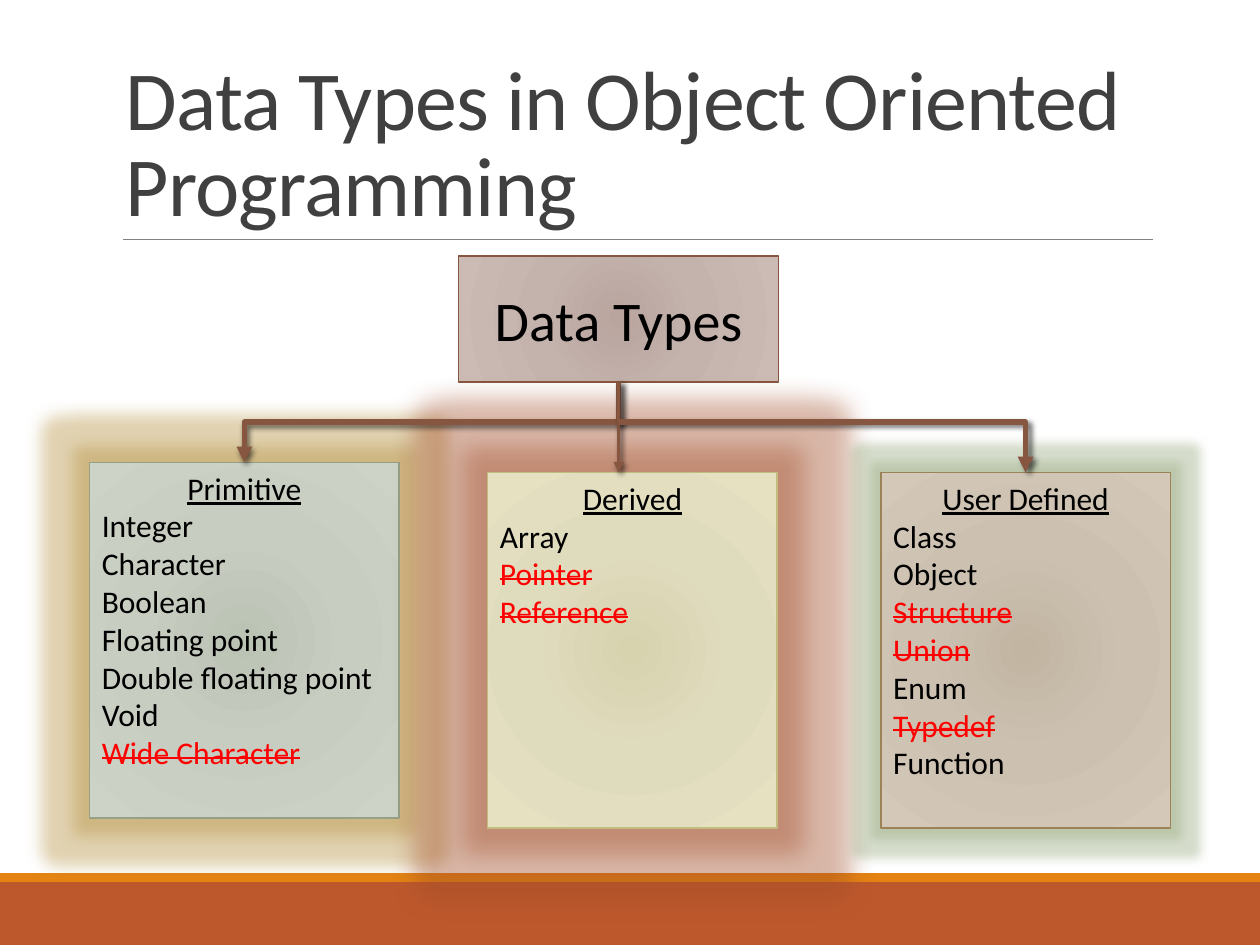
from pptx import Presentation
from pptx.dml.color import RGBColor
from pptx.enum.shapes import MSO_CONNECTOR as Link, MSO_SHAPE as Shape
from pptx.enum.text import MSO_ANCHOR as Anchor, PP_ALIGN as Align
from pptx.oxml import parse_xml
from pptx.oxml.ns import nsdecls, qn
from pptx.util import Inches, Pt

FONT = "Calibri"
COLORS = {
    "band": "BD582C", "stripe": "E48312", "rule": "808080", "title": "404040",
    "text": "000000", "removed": "FF0000", "brown": "865640",
}
CARDS = [
    {"at": (0.71, 3.67, 2.46, 2.82), "heading": "Primitive",
     "items": ["Integer", "Character", "Boolean", "Floating point",
               "Double floating point", "Void", "Wide Character"],
     "stops": ("BBC3B5", "C7CDC1", "CDD4C7"), "border": "94A088", "glow": ("B48F3D", 18)},
    {"at": (3.87, 3.75, 2.3, 2.82), "heading": "Derived",
     "items": ["Array", "Pointer", "Reference"],
     "stops": ("D7D3AF", "DFDBBD", "E5E1C1"), "border": "C2BC80", "glow": ("A04B26", 28)},
    {"at": (6.99, 3.75, 2.3, 2.82), "heading": "User Defined",
     "items": ["Class", "Object", "Structure", "Union", "Enum", "Typedef", "Function"],
     "stops": ("C2B5A2", "CCC1B1", "D4C8B8"), "border": "9B8357", "glow": ("97A97E", 11)},
]
REMOVED = {"Wide Character", "Pointer", "Reference", "Structure", "Union", "Typedef"}


def rgb(value):
    return RGBColor.from_string(value)


def xml(tag, body):
    return parse_xml(f"<a:{tag} {nsdecls('a')}{body}")


def style_text(paragraph, size, color):
    font = paragraph.runs[0].font
    font.name, font.size = FONT, Pt(size)
    font.color.rgb = rgb(color)
    return font


def add_box(slide, at, fill, border=None):
    box = slide.shapes.add_shape(Shape.RECTANGLE, *map(Inches, at))
    box.shadow.inherit = False
    box.fill.solid()
    box.fill.fore_color.rgb = rgb(fill)
    if border:
        box.line.color.rgb = rgb(border)
        box.line.width = Pt(1)
    else:
        box.line.fill.background()
    return box


def add_gradient_box(slide, at, stops, border):
    box = add_box(slide, at, stops[0], border)
    marks = "".join(f'<a:gs pos="{place * 1000}"><a:srgbClr val="{color}"/></a:gs>'
                    for place, color in zip((0, 45, 100), stops))
    gradient = xml("gradFill", f' rotWithShape="1"><a:gsLst>{marks}</a:gsLst>'
                   '<a:path path="circle"><a:fillToRect l="100000" t="100000" '
                   'r="100000" b="100000"/></a:path></a:gradFill>')
    properties = box._element.spPr
    properties.replace(properties.find(qn("a:solidFill")), gradient)
    return box


def add_title(slide, text):
    title = slide.shapes.add_textbox(*map(Inches, (0.9, 0.31, 8.25, 1.59)))
    frame = title.text_frame
    frame.word_wrap = True
    frame.vertical_anchor = Anchor.BOTTOM
    frame.text = text
    paragraph = frame.paragraphs[0]
    paragraph.line_spacing = 0.85
    style_text(paragraph, 48, COLORS["title"])
    paragraph.runs[0]._r.get_or_add_rPr().set("spc", "-50")


def add_root(slide):
    root = add_gradient_box(slide, (3.64, 2.03, 2.54, 1),
                            ("B9A49E", "C4B2AD", "CCBAB5"), COLORS["brown"])
    root.text_frame.text = "Data Types"
    paragraph = root.text_frame.paragraphs[0]
    paragraph.alignment = Align.CENTER
    style_text(paragraph, 32, COLORS["text"])
    return root


def add_card(slide, card):
    box = add_gradient_box(slide, card["at"], card["stops"], card["border"])
    color, radius = card["glow"]
    box._element.spPr.find(qn("a:effectLst")).append(
        xml("glow", f' rad="{Pt(radius)}"><a:srgbClr val="{color}">'
            '<a:alpha val="40000"/></a:srgbClr></a:glow>'))
    frame = box.text_frame
    frame.vertical_anchor = Anchor.TOP
    frame.text = "\n".join([card["heading"], *card["items"]])
    for paragraph in frame.paragraphs:
        removed = paragraph.text in REMOVED
        paragraph.alignment = Align.LEFT
        font = style_text(paragraph, 18, COLORS["removed" if removed else "text"])
        if removed:
            font._element.set("strike", "sngStrike")
    heading = frame.paragraphs[0]
    heading.alignment = Align.CENTER
    heading.runs[0].font.underline = True
    return box


def add_line(slide, kind, ends, color, width):
    line = slide.shapes.add_connector(kind, *map(Inches, ends))
    line.line.color.rgb = rgb(color)
    line.line.width = Pt(width)
    effects = xml("effectLst", "/>")
    line._element.spPr.append(effects)
    return line, effects


def add_arrow(slide, kind, ends, width):
    arrow, effects = add_line(slide, kind, ends, COLORS["brown"], width)
    arrow.line._get_or_add_ln().append(xml("tailEnd", ' type="triangle"/>'))
    effects.append(xml("outerShdw", f' blurRad="{Pt(3)}" dist="{Pt(2)}" dir="2700000">'
                       '<a:srgbClr val="000000"><a:alpha val="60000"/></a:srgbClr>'
                       '</a:outerShdw>'))
    return arrow


def turn_down(arrow, start, end):
    run, drop = abs(end[0] - start[0]), end[1] - start[1]
    arrow.left = Inches((start[0] + end[0] - drop) / 2)
    arrow.top = Inches((start[1] + end[1] - run) / 2)
    arrow.width, arrow.height = Inches(drop), Inches(run)
    frame = arrow._element.spPr.find(qn("a:xfrm"))
    frame.attrib.pop("flipH", None)
    frame.set("rot", "5400000")


def add_arrows(slide, root, primitive, user_defined):
    start, end = (4.91, 3.03), (1.94, 3.67)
    left = add_arrow(slide, Link.ELBOW, (*start, *end), 3)
    left.begin_connect(root, 2)
    left.end_connect(primitive, 0)
    turn_down(left, start, end)

    middle = add_arrow(slide, Link.STRAIGHT, (4.91, 3.03, 4.91, 3.75), 2)
    middle.begin_connect(root, 2)

    right = add_arrow(slide, Link.ELBOW, (4.91, 3.35, 8.14, 3.75), 3)
    right._element.spPr.find(qn("a:prstGeom")).set("prst", "bentConnector2")
    right.end_connect(user_defined, 0)


def main():
    deck = Presentation()
    deck.slide_width, deck.slide_height = Inches(10), Inches(7.5)
    slide = deck.slides.add_slide(deck.slide_layouts[6])
    add_box(slide, (0, 7, 10, 0.5), COLORS["band"])
    add_box(slide, (0, 6.93, 10, 0.07), COLORS["stripe"])
    add_line(slide, Link.STRAIGHT, (0.98, 1.9, 9.15, 1.9), COLORS["rule"], 0.5)
    add_title(slide, "Data Types in Object Oriented Programming")
    root = add_root(slide)
    primitive, _, user_defined = [add_card(slide, card) for card in CARDS]
    add_arrows(slide, root, primitive, user_defined)
    deck.save("out.pptx")


if __name__ == "__main__":
    main()
